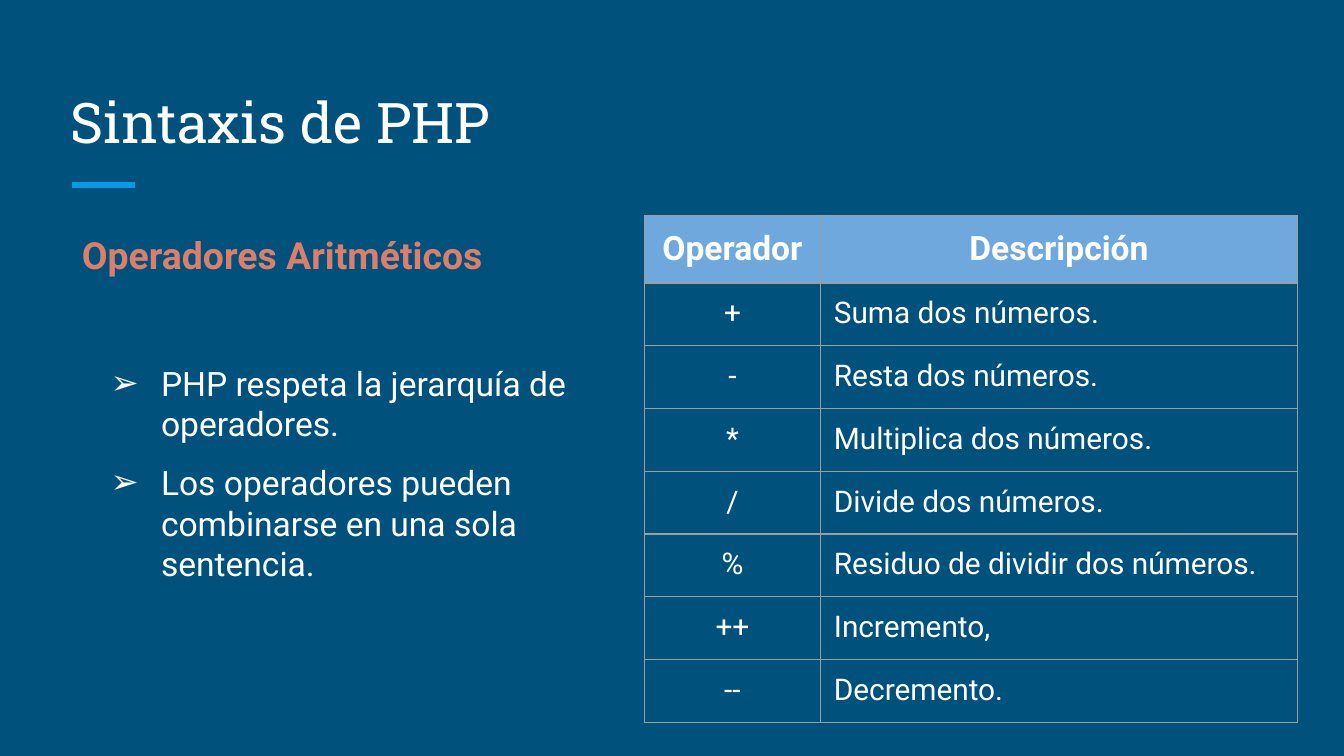
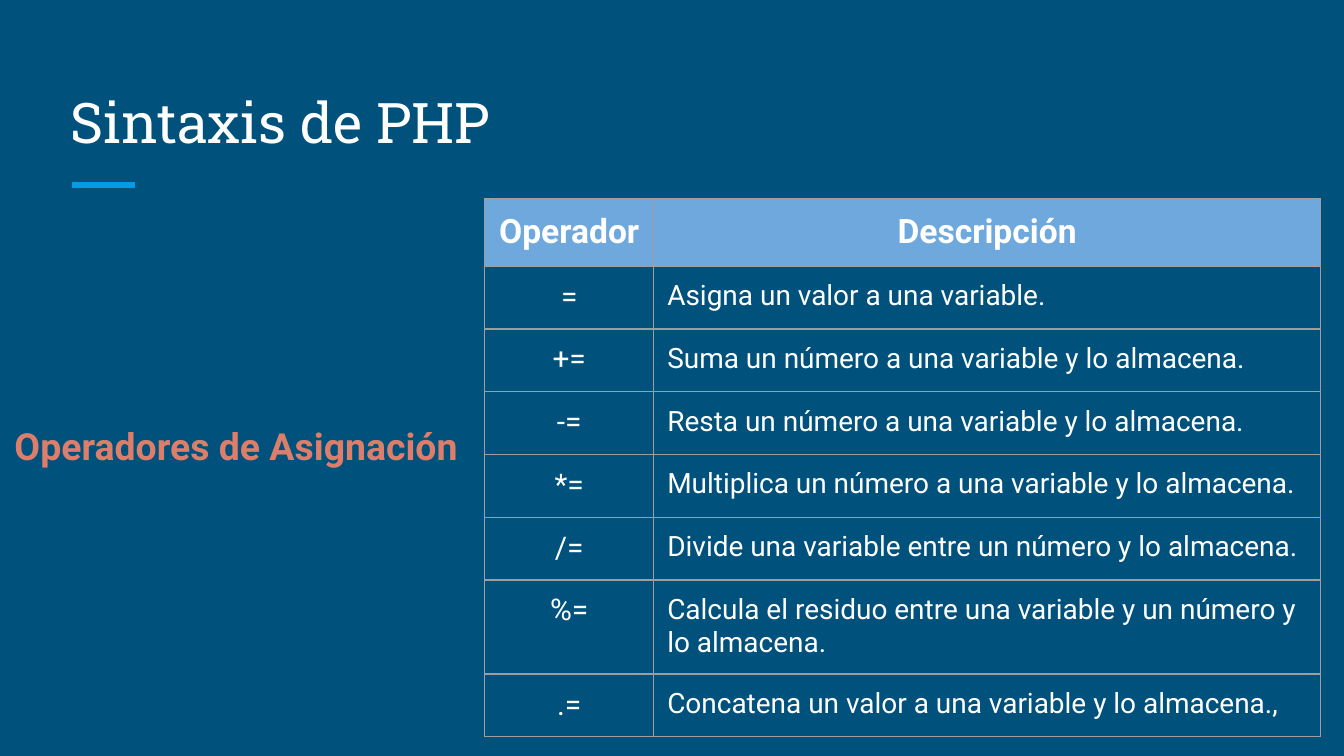
"""Build two slides on PHP operators, each with a heading and an operator table."""
from dataclasses import dataclass

from lxml.etree import SubElement
from pptx import Presentation
from pptx.dml.color import RGBColor
from pptx.enum.shapes import MSO_CONNECTOR
from pptx.enum.text import MSO_ANCHOR, MSO_AUTO_SIZE, PP_ALIGN
from pptx.oxml.ns import qn
from pptx.util import Emu, Pt

EMU_PER_PX = 4572
INSET = 20
HEADER_HEIGHT, ROW_HEIGHT = 94, 88
PLAIN_TABLE_STYLE = "{2D5ABB26-0587-4C30-8999-92F81FD0307C}"
TITLE = "Sintaxis de PHP"
BODY_FONT, TITLE_FONT = "Roboto", "Roboto Slab"
COLORS = {
    "background": "00517C",
    "accent": "039BE5",
    "text": "FFFFFF",
    "heading": "DD7E6B",
    "header": "6FA8DC",
    "border": "9E9E9E",
}


@dataclass(frozen=True)
class Area:
    left: int
    top: int
    width: int
    height: int


@dataclass(frozen=True)
class Style:
    size: int
    color: str = "text"
    bold: bool = False
    font: str = BODY_FONT


@dataclass(frozen=True)
class OperatorTable:
    left: int
    top: int
    columns: tuple[int, int]
    description_size: int
    rows: tuple[tuple[str, str], ...]


@dataclass(frozen=True)
class OperatorPage:
    heading: str
    heading_area: Area
    table: OperatorTable
    bullets: tuple[str, ...] = ()


TITLE_STYLE = Style(30, font=TITLE_FONT)
HEADING_STYLE = Style(20, "heading", True)
HEADER_STYLE = Style(18, bold=True)
BULLET_STYLE = Style(18)
SYMBOL_STYLE = Style(16)
TITLE_AREA = Area(85, 100, 1830, 150)
BULLET_AREA = Area(120, 520, 752, 396)

PAGES = (
    OperatorPage(
        "Operadores Aritméticos",
        Area(102, 326, 664, 114),
        OperatorTable(959, 321, (262, 710), 16, (
            ("+", "Suma dos números."),
            ("-", "Resta dos números."),
            ("*", "Multiplica dos números."),
            ("/", "Divide dos números."),
            ("%", "Residuo de dividir dos números."),
            ("++", "Incremento,"),
            ("--", "Decremento."),
        )),
        (
            "PHP respeta la jerarquía de operadores.",
            "Los operadores pueden combinarse en una sola sentencia.",
        ),
    ),
    OperatorPage(
        "Operadores de Asignación",
        Area(2, 610, 752, 114),
        OperatorTable(721, 296, (252, 992), 15, (
            ("=", "Asigna un valor a una variable."),
            ("+=", "Suma un número a una variable y lo almacena."),
            ("-=", "Resta un número a una variable y lo almacena."),
            ("*=", "Multiplica un número a una variable y lo almacena."),
            ("/=", "Divide una variable entre un número y lo almacena."),
            ("%=", "Calcula el residuo entre una variable y un número y lo almacena."),
            (".=", "Concatena un valor a una variable y lo almacena.,"),
        )),
    ),
)


def px(length: int) -> Emu:
    return Emu(length * EMU_PER_PX)


def color(name: str) -> RGBColor:
    return RGBColor.from_string(COLORS[name])


def bounds(area: Area) -> tuple[Emu, Emu, Emu, Emu]:
    return px(area.left), px(area.top), px(area.width), px(area.height)


def set_margins(target) -> None:
    target.margin_left = target.margin_right = px(INSET)
    target.margin_top = target.margin_bottom = px(INSET)


def write(para, text: str, style: Style, align: PP_ALIGN = PP_ALIGN.LEFT) -> None:
    para.alignment = align
    span = para.add_run()
    span.text = text
    span.font.name = style.font
    span.font.size = Pt(style.size)
    span.font.bold = style.bold
    span.font.color.rgb = color(style.color)


def add_title(page) -> None:
    title = page.shapes.title
    title.left, title.top, title.width, title.height = bounds(TITLE_AREA)
    frame = title.text_frame
    frame.auto_size = MSO_AUTO_SIZE.NONE
    frame.vertical_anchor = MSO_ANCHOR.BOTTOM
    set_margins(frame)
    write(frame.paragraphs[0], TITLE, TITLE_STYLE)


def add_accent(page) -> None:
    line = page.shapes.add_connector(
        MSO_CONNECTOR.STRAIGHT, px(107), px(275), px(201), px(275))
    line.line.color.rgb = color("accent")
    line.line.width = Pt(3)
    SubElement(line.element.spPr, qn("a:effectLst"))


def add_text_box(page, area: Area):
    frame = page.shapes.add_textbox(*bounds(area)).text_frame
    frame.word_wrap = True
    set_margins(frame)
    return frame


def add_bullets(page, items: tuple[str, ...]) -> None:
    frame = add_text_box(page, BULLET_AREA)
    for index, item in enumerate(items):
        para = frame.add_paragraph() if index else frame.paragraphs[0]
        if index:
            para.space_before = para.space_after = Pt(10)
        write(para, item, BULLET_STYLE)
        properties = para._p.get_or_add_pPr()
        properties.set("marL", str(px(100)))
        properties.set("indent", str(px(-75)))
        tint = SubElement(properties, qn("a:buClr"))
        SubElement(tint, qn("a:srgbClr"), val=COLORS["text"])
        SubElement(properties, qn("a:buFont"), typeface=BODY_FONT)
        SubElement(properties, qn("a:buChar"), char="➢")


def add_borders(cell) -> None:
    properties = cell._tc.get_or_add_tcPr()
    for side in ("lnL", "lnR", "lnT", "lnB"):
        edge = SubElement(properties, qn(f"a:{side}"), w=str(Pt(0.75)))
        fill = SubElement(edge, qn("a:solidFill"))
        SubElement(fill, qn("a:srgbClr"), val=COLORS["border"])


def fill_cell(cell, text: str, style: Style, align: PP_ALIGN, header: bool) -> None:
    set_margins(cell)
    add_borders(cell)
    if header:
        cell.fill.solid()
        cell.fill.fore_color.rgb = color("header")
    else:
        cell.fill.background()
    write(cell.text_frame.paragraphs[0], text, style, align)


def add_operator_table(page, content: OperatorTable) -> None:
    rows = (("Operador", "Descripción"), *content.rows)
    area = Area(content.left, content.top, sum(content.columns),
                HEADER_HEIGHT + ROW_HEIGHT * len(content.rows))
    table = page.shapes.add_table(len(rows), 2, *bounds(area)).table
    table.first_row = table.horz_banding = False
    table._tbl.tblPr.find(qn("a:tableStyleId")).text = PLAIN_TABLE_STYLE
    for column, width in zip(table.columns, content.columns):
        column.width = px(width)
    body_styles = (SYMBOL_STYLE, Style(content.description_size))
    for row_index, texts in enumerate(rows):
        header = row_index == 0
        table.rows[row_index].height = px(HEADER_HEIGHT if header else ROW_HEIGHT)
        for column_index, text in enumerate(texts):
            centered = header or column_index == 0
            fill_cell(
                table.cell(row_index, column_index),
                text,
                HEADER_STYLE if header else body_styles[column_index],
                PP_ALIGN.CENTER if centered else PP_ALIGN.LEFT,
                header,
            )


def add_page(deck, content: OperatorPage) -> None:
    page = deck.slides.add_slide(deck.slide_layouts[5])
    page.background.fill.solid()
    page.background.fill.fore_color.rgb = color("background")
    add_accent(page)
    add_title(page)
    heading = add_text_box(page, content.heading_area)
    write(heading.paragraphs[0], content.heading, HEADING_STYLE)
    add_operator_table(page, content.table)
    if content.bullets:
        add_bullets(page, content.bullets)


def main() -> None:
    deck = Presentation()
    deck.slide_width, deck.slide_height = px(2000), px(1125)
    for content in PAGES:
        add_page(deck, content)
    deck.save("out.pptx")


if __name__ == "__main__":
    main()
